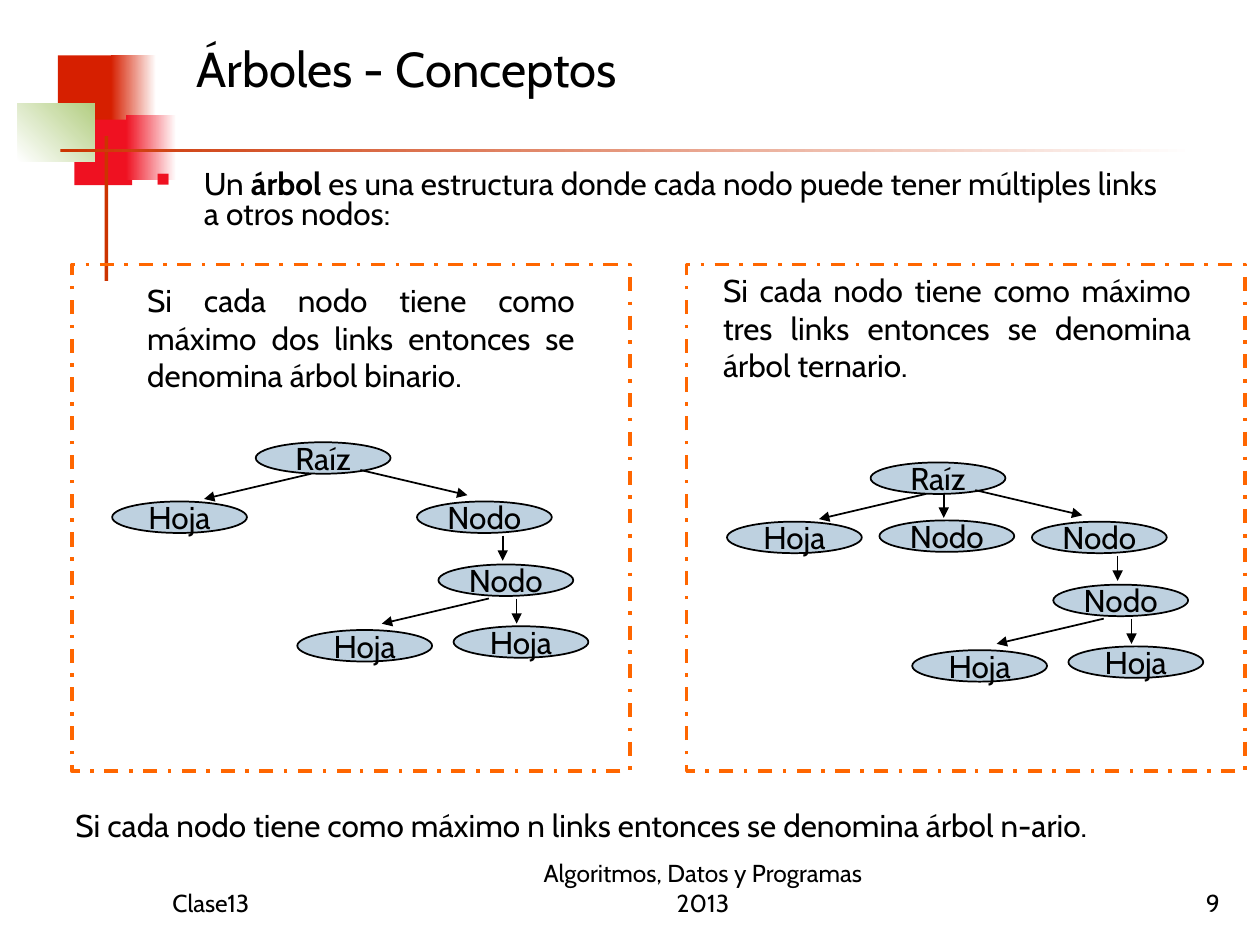
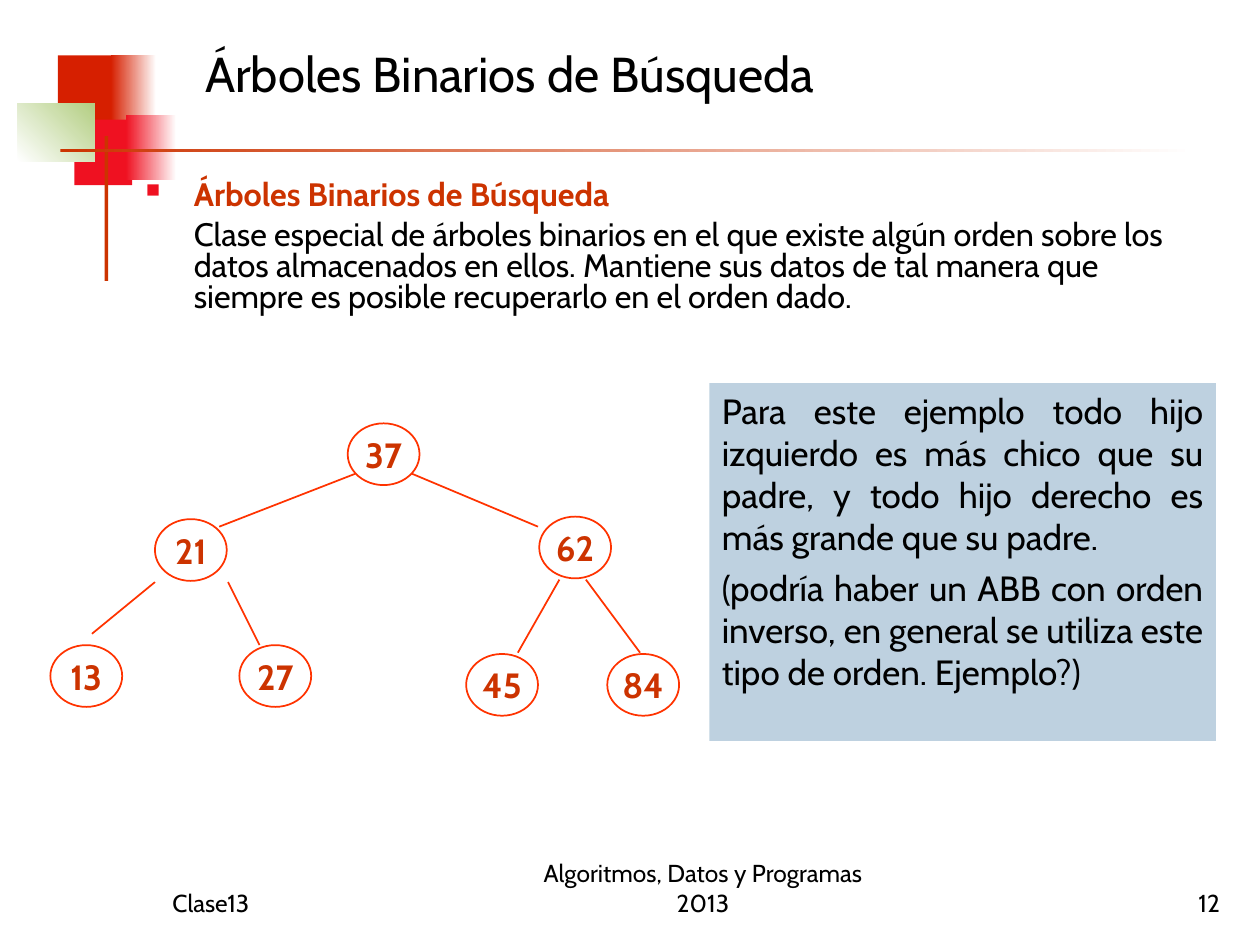
from dataclasses import dataclass

from lxml import etree
from pptx import Presentation
from pptx.dml.color import RGBColor
from pptx.enum.dml import MSO_LINE
from pptx.enum.shapes import MSO_CONNECTOR, MSO_SHAPE
from pptx.enum.text import MSO_ANCHOR, PP_ALIGN
from pptx.oxml.ns import qn
from pptx.util import Inches, Pt

RECTANGLE, ELLIPSE = MSO_SHAPE.RECTANGLE, MSO_SHAPE.OVAL
STRAIGHT = MSO_CONNECTOR.STRAIGHT
DASH_DOT = MSO_LINE.DASH_DOT
TOP, MIDDLE, BOTTOM = MSO_ANCHOR.TOP, MSO_ANCHOR.MIDDLE, MSO_ANCHOR.BOTTOM
LEFT, CENTER, RIGHT, JUSTIFY = PP_ALIGN.LEFT, PP_ALIGN.CENTER, PP_ALIGN.RIGHT, PP_ALIGN.JUSTIFY

WIDTH, HEIGHT = Inches(10), Inches(7.5)
COLUMN, ROW = WIDTH / 100, HEIGHT / 75


@dataclass(frozen=True)
class Theme:
    font: str = "Cabin"
    black: str = "000000"
    white: str = "FFFFFF"
    brick: str = "D61F00"
    red: str = "EF1121"
    green: str = "B3CE82"
    accent: str = "CC3300"
    orange: str = "FF6600"
    edge: str = "FF3300"
    pale_blue: str = "BED1E0"
    title: float = 28
    body: float = 18
    definition: float = 18.5
    large: float = 20
    footer: float = 14


THEME = Theme()
HANGING = 3.8
INDENT = 5

CORNER = [
    ((4.6, 4.4, 4.8, 5.2), THEME.brick, None, 0),
    ((8.8, 4.4, 3.6, 5.2), THEME.brick, THEME.white, 0),
    ((5.9, 9.5, 4.6, 5.2), THEME.red, None, 0),
    ((10, 9.1, 4, 5.2), THEME.red, THEME.white, 0),
    ((1.4, 8.2, 6.1, 4.6), THEME.white, THEME.green, 45),
    ((8.3, 10.8, 0.3, 11.5), THEME.accent, None, 0),
    ((4.8, 11.8, 90, 0.3), THEME.accent, THEME.white, 0),
]

TREE_OFFSET = (48.8, 1.6)
TREE_NODES = [
    ("Raíz", 20.3, 35.1), ("Hoja", 8.9, 39.8), ("Nodo", 33.1, 39.8),
    ("Nodo", 34.8, 44.8), ("Hoja", 36, 49.7), ("Hoja", 23.6, 50),
]
TREE_ARROWS = [
    (24.7, 37.6, -8.5), (28.6, 37.3, 8.5), (39.9, 42.5, 0),
    (38.8, 47.5, -8.5), (41, 47.5, 0),
]
THIRD_NODE = ("Nodo", 21, 39.7)
THIRD_ARROW = (26.1, 37.5, 0)

SEARCH_NODES = [
    ("37", 27.6, 33.6), ("21", 12.3, 41.2), ("62", 42.8, 41),
    ("13", 4, 51.2), ("27", 19, 51.2), ("45", 37, 51.9), ("84", 48.2, 51.9),
]
SEARCH_EDGES = [
    (28.2, 37.6, 17.4, 41.8), (32.7, 37.6, 42.7, 41.8),
    (12.3, 46.2, 7.3, 50.3), (18.1, 46.2, 20.6, 51.2),
    (44.4, 46, 41.1, 51.8), (46.5, 46, 50.8, 51.8),
]


def rgb(value):
    return RGBColor.from_string(value)


def on_grid(left, top, across, down):
    return round(left * COLUMN), round(top * ROW), round(across * COLUMN), round(down * ROW)


def apply(target, values):
    for name, value in values.items():
        setattr(target, name, value)


def span(text, size=THEME.body, color=THEME.black, bold=False):
    return text, color, {"name": THEME.font, "size": Pt(size), "bold": bold}


def add_bullet(para):
    properties = para._p.get_or_add_pPr()
    color = etree.SubElement(properties, qn("a:buClr"))
    etree.SubElement(color, qn("a:srgbClr"), val=THEME.red)
    etree.SubElement(properties, qn("a:buSzPct"), val="60000")
    etree.SubElement(properties, qn("a:buChar"), char="■")


def write(shape, paragraphs, anchor=TOP, wrap=True, margin=0, bullet=False, **layout):
    frame = shape.text_frame
    apply(frame, {"word_wrap": wrap, "vertical_anchor": anchor})
    for index, spans in enumerate(paragraphs):
        para = frame.add_paragraph() if index else frame.paragraphs[0]
        apply(para, layout)
        if index:
            para.space_before = Pt(5)
        hangs = bullet and index == 0
        properties = para._p.get_or_add_pPr()
        properties.set("marL", str(round(margin * COLUMN)))
        properties.set("indent", str(round(-margin * COLUMN) if hangs else 0))
        if hangs:
            add_bullet(para)
        for text, color, values in spans:
            run = para.add_run()
            run.text = text
            apply(run.font, values)
            run.font.color.rgb = rgb(color)


def add_text(page, area, paragraphs, **layout):
    write(page.shapes.add_textbox(*on_grid(*area)), paragraphs, **layout)


def add_box(page, kind, area, fill=None, line=None, weight=1, dash=None):
    box = page.shapes.add_shape(kind, *on_grid(*area))
    box.shadow.inherit = False
    if fill:
        box.fill.solid()
        box.fill.fore_color.rgb = rgb(fill)
    else:
        box.fill.background()
    if line:
        box.line.color.rgb = rgb(line)
        apply(box.line, {"width": Pt(weight), "dash_style": dash})
    else:
        box.line.fill.background()
    return box


def add_fading_box(page, area, start, end, angle):
    box = add_box(page, RECTANGLE, area, start)
    box.fill.gradient()
    box.fill.gradient_angle = angle
    for stop, color in zip(box.fill.gradient_stops, (start, end)):
        stop.color.rgb = rgb(color)


def add_line(page, start, end, color, arrow=False):
    ends = on_grid(*start, *end)
    line = page.shapes.add_connector(STRAIGHT, *ends)
    line.line.color.rgb = rgb(color)
    line.line.width = Pt(1)
    if arrow:
        etree.SubElement(line.line._get_or_add_ln(), qn("a:tailEnd"), type="triangle")
    etree.SubElement(line._element.spPr, qn("a:effectLst"))


def add_node(page, area, label, fill, line):
    node = add_box(page, ELLIPSE, area, fill, line)
    write(node, [[label]], anchor=MIDDLE, wrap=False, alignment=CENTER)


def add_tree(page, nodes, arrows, offset=(0, 0)):
    right, down = offset
    for label, left, top in nodes:
        area = (left + right, top + down, 10.7, 2.5)
        add_node(page, area, span(label), THEME.pale_blue, THEME.black)
    for left, top, reach in arrows:
        start = (left + right, top + down)
        add_line(page, start, (start[0] + reach, start[1] + 2), THEME.black, arrow=True)


def add_search_tree(page):
    for left, top, right, bottom in SEARCH_EDGES:
        add_line(page, (left, top), (right, bottom), THEME.edge)
    for label, left, top in SEARCH_NODES:
        number = span(label, THEME.large, THEME.accent, True)
        add_node(page, (left, top, 5.7, 4.9), number, THEME.white, THEME.edge)


def add_page(deck, title, title_area, number):
    page = deck.slides.add_slide(deck.slide_layouts[6])
    for area, color, end, angle in CORNER:
        if end:
            add_fading_box(page, area, color, end, angle)
        else:
            add_box(page, RECTANGLE, area, color)
    footers = [
        ("Clase13", 12.7, 20.8, LEFT),
        ("Algoritmos, Datos y Programas 2013", 40.3, 31, CENTER),
        (number, 77, 20.8, RIGHT),
    ]
    for text, left, across, alignment in footers:
        add_text(page, (left, 68.3, across, 5), [[span(text, THEME.footer)]],
                 anchor=BOTTOM, alignment=alignment)
    add_text(page, title_area, [[span(title, THEME.title)]], anchor=MIDDLE)
    return page


def build_concepts(deck):
    page = add_page(deck, "Árboles - Conceptos", (14.6, 0.8, 71.1, 9.2), "9")
    add_text(page, (11.4, 13.1, 82.2, 6), [[
        span("Un "), span("árbol", bold=True),
        span(" es una estructura donde cada nodo puede tener múltiples links a otros nodos:"),
    ]], margin=HANGING, bullet=True, line_spacing=0.8)
    notes = [
        ((5.7, 21.8, 40.9, 10), JUSTIFY,
         "Si cada nodo tiene como máximo dos links entonces se denomina árbol binario."),
        ((51.4, 21, 44.1, 10), JUSTIFY,
         "Si cada nodo tiene como máximo tres links entonces se denomina árbol ternario."),
        ((0, 63.5, 98.8, 4), LEFT,
         "Si cada nodo tiene como máximo n links entonces se denomina árbol n-ario."),
    ]
    for area, alignment, text in notes:
        add_text(page, area, [[span(text)]], margin=INDENT, alignment=alignment)
    add_tree(page, TREE_NODES, TREE_ARROWS)
    add_tree(page, TREE_NODES + [THIRD_NODE], TREE_ARROWS + [THIRD_ARROW], TREE_OFFSET)
    for shift in (0, TREE_OFFSET[0]):
        add_box(page, RECTANGLE, (5.7 + shift, 21, 44.3, 40.2),
                line=THEME.orange, weight=2, dash=DASH_DOT)


def build_search_trees(deck):
    title = "Árboles Binarios de Búsqueda"
    page = add_page(deck, title, (15.3, 0.8, 76.4, 10), "12")
    add_text(page, (10.6, 13.9, 85.1, 14.8), [
        [span(title, THEME.definition, THEME.accent, True)],
        [span("Clase especial de árboles binarios en el que existe algún orden sobre los "
              "datos almacenados en ellos. Mantiene sus datos de tal manera que siempre "
              "es posible recuperarlo en el orden dado.", THEME.definition)],
    ], margin=HANGING, bullet=True, line_spacing=0.8)
    add_search_tree(page)
    panel = add_box(page, RECTANGLE, (56.3, 30.4, 40.2, 28.4), THEME.pale_blue)
    write(panel, [
        [span("Para este ejemplo todo hijo izquierdo es más chico que su padre, y todo "
              "hijo derecho es más grande que su padre.", THEME.large)],
        [span("(podría haber un ABB con orden inverso, en general se utiliza este tipo "
              "de orden. Ejemplo?)", THEME.large)],
    ], alignment=JUSTIFY)


def main():
    deck = Presentation()
    apply(deck, {"slide_width": WIDTH, "slide_height": HEIGHT})
    build_concepts(deck)
    build_search_trees(deck)
    deck.save("out.pptx")


if __name__ == "__main__":
    main()
